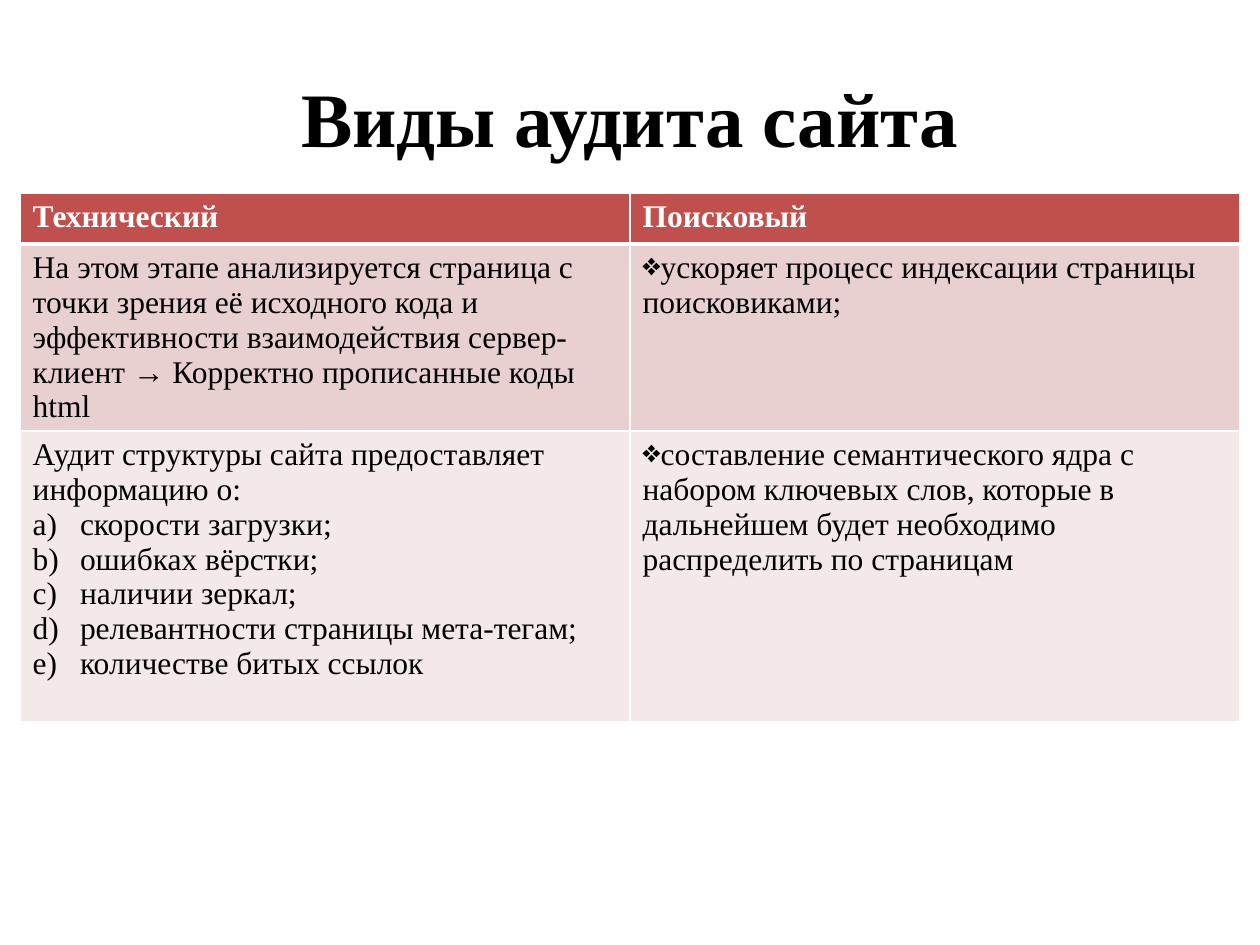
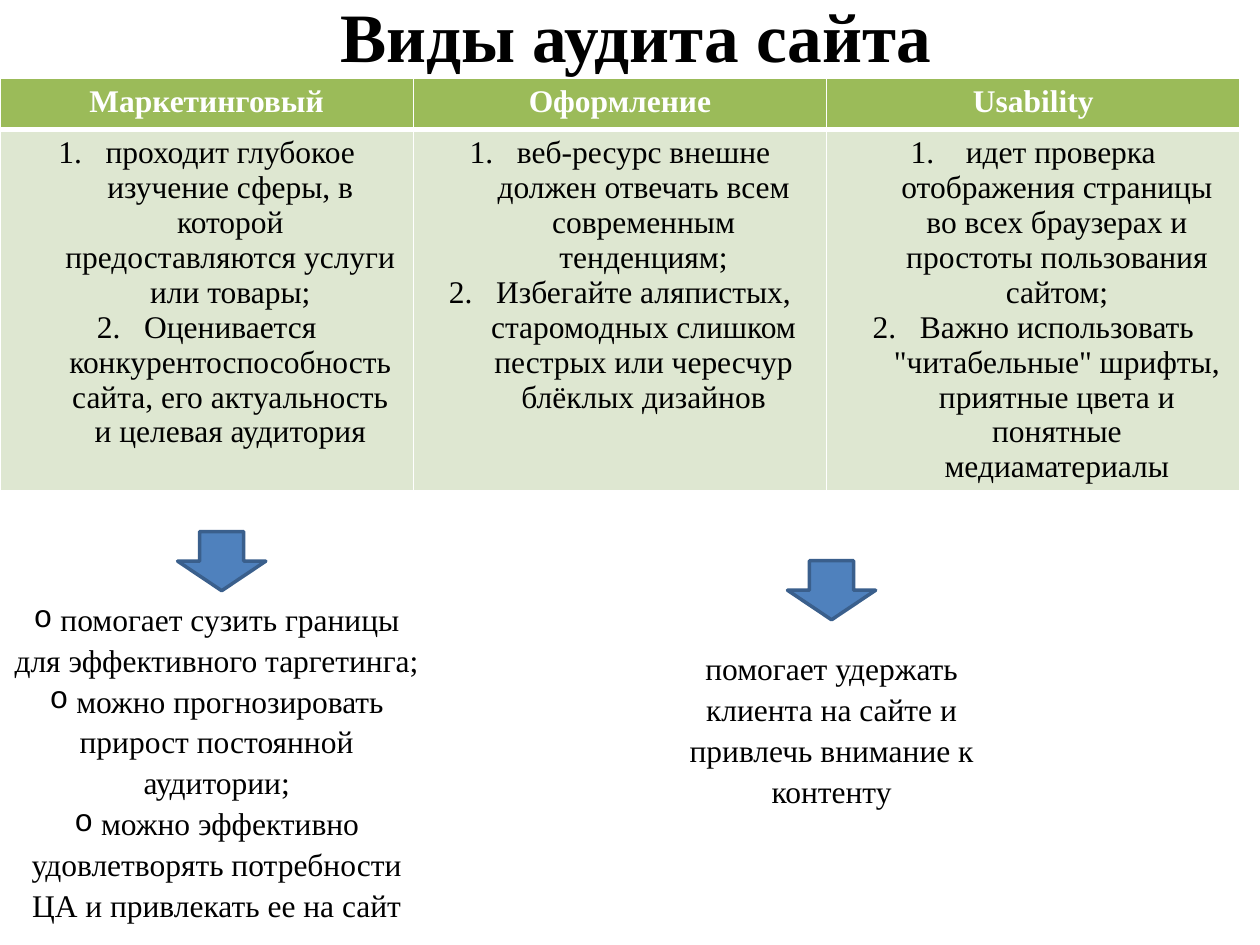
from lxml.etree import SubElement
from pptx import Presentation
from pptx.dml.color import RGBColor
from pptx.enum.shapes import MSO_SHAPE
from pptx.enum.text import MSO_ANCHOR, MSO_AUTO_SIZE, PP_ALIGN
from pptx.oxml import parse_xml
from pptx.oxml.ns import nsdecls, qn
from pptx.util import Pt

FONT = "Times New Roman"
BLACK, WHITE = "000000", "FFFFFF"
BLUE, NAVY = "4F81BD", "3A5F8C"
TITLE = "Виды аудита сайта"
SIZE = 18
HANG = 27
MARKS = {
    "a)": ("buAutoNum", {"type": "alphaLcParenR"}, HANG),
    "1.": ("buAutoNum", {"type": "arabicPeriod"}, HANG),
    "❖": ("buChar", {"char": "❖"}, 0),
    "o": ("buChar", {"char": "o"}, 0),
    "": ("buNone", {}, 0),
}

KINDS = [
    [[("", "Технический")], [("", "Поисковый")]],
    [
        [("", "На этом этапе анализируется страница с точки зрения её исходного кода и "
              "эффективности взаимодействия сервер-клиент → Корректно прописанные коды html ")],
        [("❖", "ускоряет процесс индексации страницы поисковиками;")],
    ],
    [
        [
            ("", "Аудит структуры сайта предоставляет информацию о:"),
            ("a)", "скорости загрузки;"),
            ("a)", "ошибках вёрстки;"),
            ("a)", "наличии зеркал;"),
            ("a)", "релевантности страницы мета-тегам;"),
            ("a)", "количестве битых ссылок"),
        ],
        [("❖", "составление семантического ядра с набором ключевых слов, которые в "
               "дальнейшем будет необходимо распределить по страницам")],
    ],
]
GOALS = [
    [[("", "Маркетинговый")], [("", "Оформление")], [("", "Usability")]],
    [
        [
            ("1.", "проходит глубокое изучение сферы, в которой предоставляются услуги или товары;"),
            ("1.", "Оценивается конкурентоспособность сайта, его актуальность и целевая аудитория"),
        ],
        [
            ("1.", "веб-ресурс внешне должен отвечать всем современным тенденциям;"),
            ("1.", "Избегайте аляпистых, старомодных слишком пестрых или чересчур блёклых дизайнов"),
        ],
        [
            ("1.", " идет проверка отображения страницы во всех браузерах и простоты пользования сайтом;"),
            ("1.", "Важно использовать \"читабельные\" шрифты, приятные цвета и понятные медиаматериалы"),
        ],
    ],
]
GAINS = [
    ((0, 337.7, 247.7, 181.4), [
        ("o", " помогает сузить границы для эффективного таргетинга;"),
        ("o", " можно прогнозировать прирост постоянной аудитории;"),
        ("o", " можно эффективно удовлетворять потребности ЦА и привлекать ее на сайт"),
    ]),
    ((382.3, 365.8, 185.8, 94.3), [
        ("", "помогает удержать клиента на сайте и привлечь внимание к контенту"),
    ]),
]
ARROWS = [(101.5, 303.8), (450, 320.4)]

SLIDES = [
    {"title": (36, 21.6, 648, 90), "size": 44, "rows": KINDS, "at": (11.5, 110.2),
     "wide": 348.5, "high": [29.2, 106.6, 166.4], "align": PP_ALIGN.LEFT,
     "fills": ["C0504D", "E8D0D0", "F4E9E9"], "gains": [], "arrows": []},
    {"title": (39.6, 0, 648, 39.6), "size": 39.6, "rows": GOALS, "at": (0, 44.8),
     "wide": 236.2, "high": [29.2, 206], "align": PP_ALIGN.CENTER,
     "fills": ["9BBB59", "DEE7D1"], "gains": GAINS, "arrows": ARROWS},
]


def tint(code):
    return RGBColor.from_string(code)


def pts(*nums):
    return [Pt(num) for num in nums]


def style(para, size, color, bold, align):
    para.alignment = align
    for run in para.runs:
        font = run.font
        font.name, font.size, font.bold = FONT, Pt(size), bold
        font.color.rgb = tint(color)


def bullet(para, mark):
    tag, attrs, hang = MARKS[mark]
    props = para._p.get_or_add_pPr()
    props.set("marL", str(Pt(hang)))
    props.set("indent", str(Pt(-hang)))
    if mark == "o":
        SubElement(props, qn("a:buFont"), typeface="Courier New")
    SubElement(props, qn("a:" + tag), **attrs)


def write(frame, items, color, bold, align, space=None):
    for num, (mark, text) in enumerate(items):
        para = frame.add_paragraph() if num else frame.paragraphs[0]
        para.text = text
        style(para, SIZE, color, bold, align)
        if space:
            para.line_spacing = space
        bullet(para, mark)


def edge(cell, head):
    props = cell._tc.get_or_add_tcPr()
    for num, side in enumerate("LRTB"):
        width = Pt(3 if head and side == "B" else 1)
        props.insert(num, parse_xml(
            f'<a:ln{side} {nsdecls("a")} w="{width}"><a:solidFill>'
            f'<a:srgbClr val="{WHITE}"/></a:solidFill></a:ln{side}>'))


def add_title(slide, box, size):
    title = slide.shapes.title
    title.left, title.top, title.width, title.height = pts(*box)
    frame = title.text_frame
    frame.text = TITLE
    frame.auto_size = MSO_AUTO_SIZE.NONE
    frame.vertical_anchor = MSO_ANCHOR.MIDDLE
    style(frame.paragraphs[0], size, BLACK, True, PP_ALIGN.CENTER)


def add_grid(slide, data):
    rows, high = data["rows"], data["high"]
    count = len(rows[0])
    box = pts(*data["at"], data["wide"] * count, sum(high))
    table = slide.shapes.add_table(len(rows), count, *box).table
    for col in table.columns:
        col.width = Pt(data["wide"])
    for r, cells in enumerate(rows):
        table.rows[r].height = Pt(high[r])
        head = r == 0
        for c, items in enumerate(cells):
            cell = table.cell(r, c)
            cell.fill.solid()
            cell.fill.fore_color.rgb = tint(data["fills"][r])
            edge(cell, head)
            write(cell.text_frame, items, WHITE if head else BLACK, head, data["align"])


def add_gain(slide, box, items):
    frame = slide.shapes.add_textbox(*pts(*box)).text_frame
    frame.word_wrap = True
    write(frame, items, BLACK, False, PP_ALIGN.CENTER, 1.08)


def add_arrow(slide, left, top):
    arrow = slide.shapes.add_shape(MSO_SHAPE.DOWN_ARROW, *pts(left, top, 50.4, 33.8))
    arrow.shadow.inherit = False
    arrow.fill.solid()
    arrow.fill.fore_color.rgb = tint(BLUE)
    arrow.line.color.rgb = tint(NAVY)
    arrow.line.width = Pt(2)


def main():
    """Build both slides on the kinds of site audit."""
    deck = Presentation()
    deck.slide_width, deck.slide_height = pts(720, 540)
    for data in SLIDES:
        slide = deck.slides.add_slide(deck.slide_layouts[5])
        add_title(slide, data["title"], data["size"])
        add_grid(slide, data)
        for box, items in data["gains"]:
            add_gain(slide, box, items)
        for spot in data["arrows"]:
            add_arrow(slide, *spot)
    deck.save("out.pptx")


if __name__ == "__main__":
    main()
